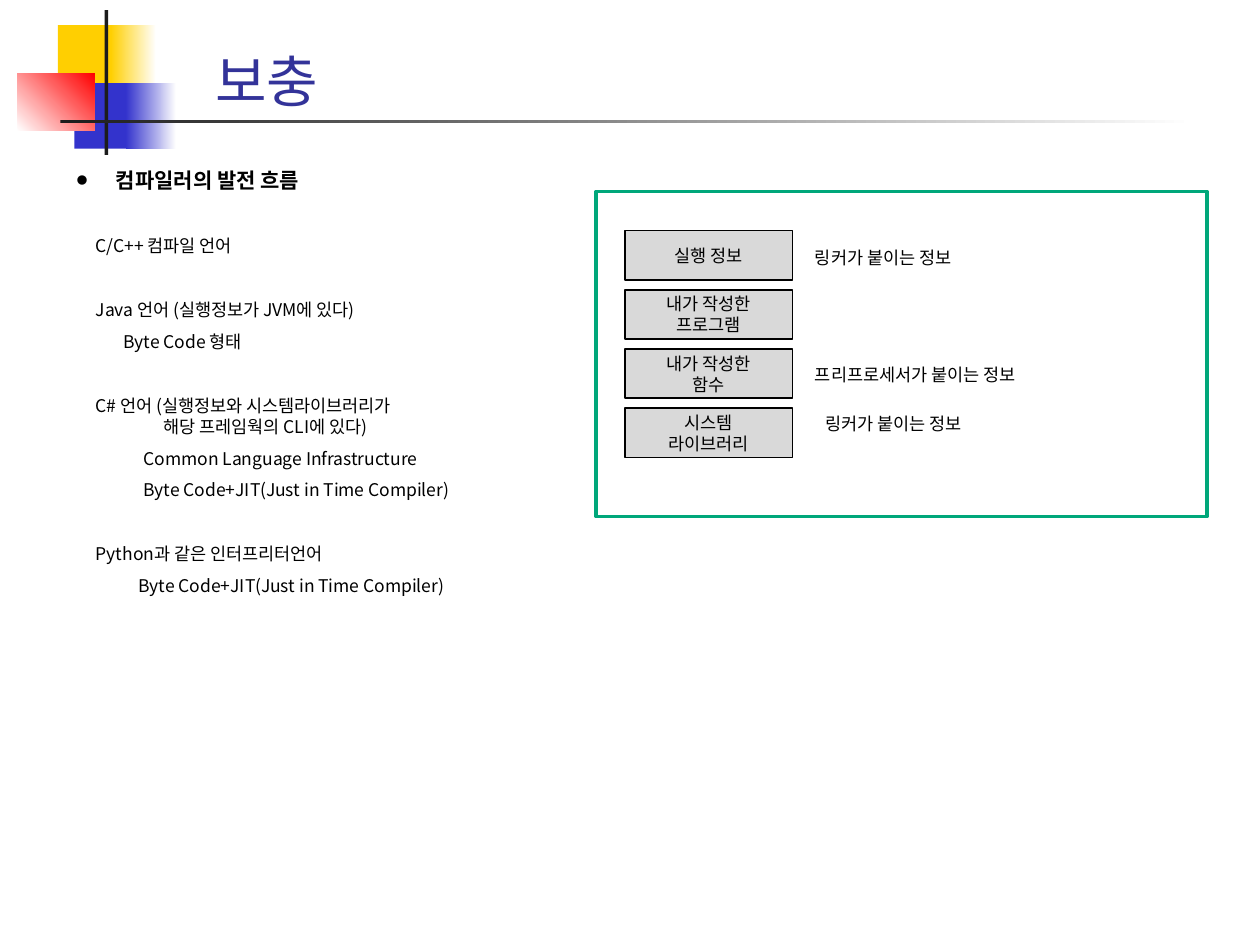
from lxml.etree import SubElement
from pptx import Presentation
from pptx.dml.color import RGBColor
from pptx.enum.shapes import MSO_SHAPE
from pptx.enum.text import MSO_ANCHOR, MSO_AUTO_SIZE, PP_ALIGN
from pptx.oxml.ns import qn
from pptx.util import Inches, Pt

FONT = "Noto Sans CJK KR"
BLACK = RGBColor(0x00, 0x00, 0x00)
WHITE = RGBColor(0xFF, 0xFF, 0xFF)
YELLOW = RGBColor(0xFF, 0xCF, 0x01)
BLUE = RGBColor(0x33, 0x33, 0xCC)
RED = RGBColor(0xFF, 0x00, 0x00)
CHARCOAL = RGBColor(0x1C, 0x1C, 0x1C)
NAVY = RGBColor(0x33, 0x33, 0x99)
GRAY = RGBColor(0xD9, 0xD9, 0xD9)
GREEN = RGBColor(0x00, 0xA7, 0x7A)

SECTION_GAP = 24.4
LINE_GAP = 6.2
OUTLINE = [
    ("C/C++ 컴파일 언어", 0.15, 0, SECTION_GAP),
    ("Java 언어 (실행정보가 JVM에 있다)", 0.15, 0, SECTION_GAP),
    ("Byte Code 형태", 0.37, 0, LINE_GAP),
    ("C# 언어 (실행정보와 시스템라이브러리가\v해당 프레임웍의 CLI에 있다)", 0.69, -0.54, SECTION_GAP),
    ("Common Language Infrastructure", 0.53, 0, LINE_GAP),
    ("Byte Code+JIT(Just in Time Compiler)", 0.53, 0, LINE_GAP),
    ("Python과 같은 인터프리터언어", 0.15, 0, SECTION_GAP),
    ("Byte Code+JIT(Just in Time Compiler)", 0.49, 0, LINE_GAP),
]
PROGRAM_PARTS = ["실행 정보", "내가 작성한\n프로그램", "내가 작성한\n함수", "시스템\n라이브러리"]
PART_NOTES = [
    ("링커가 붙이는 정보", 1.64, 0.39),
    ("프리프로세서가 붙이는 정보", 1.64, 1.32),
    ("링커가 붙이는 정보", 1.72, 1.71),
]


def place(shape, left, top, width, height):
    shape.left, shape.top = Inches(left), Inches(top)
    shape.width, shape.height = Inches(width), Inches(height)


def style_paragraph(paragraph, size=10, color=BLACK, bold=False, align=PP_ALIGN.LEFT):
    paragraph.alignment = align
    paragraph.line_spacing = Pt(size * 1.2)
    font = paragraph.font
    font.size, font.bold, font.name = Pt(size), bold, FONT
    font.color.rgb = color
    defaults = paragraph._p.get_or_add_pPr().find(qn("a:defRPr"))
    SubElement(defaults, qn("a:ea"), typeface=FONT)


def set_indent(paragraph, margin, first_line=0):
    properties = paragraph._p.get_or_add_pPr()
    properties.set("marL", str(Inches(margin)))
    properties.set("indent", str(Inches(first_line)))
    return properties


def add_rectangle(slide, left, top, width, height):
    shape = slide.shapes.add_shape(
        MSO_SHAPE.RECTANGLE, Inches(left), Inches(top), Inches(width), Inches(height)
    )
    shape.shadow.inherit = False
    return shape


def add_block(slide, left, top, width, height, start, end=None, angle=0):
    shape = add_rectangle(slide, left, top, width, height)
    shape.line.fill.background()
    if end is None:
        shape.fill.solid()
        shape.fill.fore_color.rgb = start
        return
    shape.fill.gradient()
    shape.fill.gradient_angle = angle
    for stop, color in zip(shape.fill.gradient_stops, (start, end)):
        stop.color.rgb = color


def add_emblem(slide, left, top):
    add_block(slide, left + 0.32, top + 0.12, 0.48, 0.52, YELLOW)
    add_block(slide, left + 0.74, top + 0.12, 0.36, 0.52, YELLOW, WHITE)
    add_block(slide, left + 0.45, top + 0.58, 0.46, 0.52, BLUE)
    add_block(slide, left + 0.86, top + 0.58, 0.4, 0.52, BLUE, WHITE)
    add_block(slide, left, top + 0.5, 0.61, 0.46, WHITE, RED, 45)
    add_block(slide, left + 0.69, top, 0.03, 1.15, CHARCOAL)
    add_block(slide, left + 0.34, top + 0.87, 9, 0.03, CHARCOAL, WHITE)


def fill_title(title, left, top, width, height):
    place(title, left, top, width, height)
    frame = title.text_frame
    frame.text = "보충"
    frame.auto_size = MSO_AUTO_SIZE.NONE
    frame.vertical_anchor = MSO_ANCHOR.BOTTOM
    frame.margin_bottom = Inches(0.02)
    set_indent(frame.paragraphs[0], 0.35)
    style_paragraph(frame.paragraphs[0], 32, NAVY)


def fill_outline(body, left, top, width, height):
    place(body, left, top, width, height)
    frame = body.text_frame
    frame.auto_size = MSO_AUTO_SIZE.NONE
    frame.word_wrap = True
    heading = frame.paragraphs[0]
    heading.text = "컴파일러의 발전 흐름"
    heading.space_before = Pt(0)
    properties = set_indent(heading, 0.31, -0.31)
    SubElement(properties, qn("a:buSzPct"), val="50000")
    SubElement(properties, qn("a:buFont"), typeface=FONT)
    SubElement(properties, qn("a:buChar"), char="●")
    style_paragraph(heading, 12, bold=True)
    for text, margin, first_line, gap in OUTLINE:
        paragraph = frame.add_paragraph()
        paragraph.text = text
        paragraph.space_before = Pt(gap)
        SubElement(set_indent(paragraph, margin, first_line), qn("a:buNone"))
        style_paragraph(paragraph)


def add_program_panel(slide, left, top, width, height):
    for row, text in enumerate(PROGRAM_PARTS):
        part = add_rectangle(slide, left + 0.23, top + 0.31 + row * 0.47, 1.33, 0.39)
        part.fill.solid()
        part.fill.fore_color.rgb = GRAY
        part.line.color.rgb = BLACK
        part.line.width = Pt(1)
        frame = part.text_frame
        frame.text = text
        frame.word_wrap = True
        frame.vertical_anchor = MSO_ANCHOR.MIDDLE
        frame.margin_top = frame.margin_bottom = 0
        for paragraph in frame.paragraphs:
            style_paragraph(paragraph, align=PP_ALIGN.CENTER)

    for text, offset_x, offset_y in PART_NOTES:
        note = slide.shapes.add_textbox(
            Inches(left + offset_x), Inches(top + offset_y), Inches(3.2), Inches(0.27)
        )
        note.text_frame.text = text
        note.text_frame.word_wrap = True
        style_paragraph(note.text_frame.paragraphs[0])

    border = add_rectangle(slide, left, top, width, height)
    border.fill.background()
    border.line.color.rgb = GREEN
    border.line.width = Pt(2)


def main():
    presentation = Presentation()
    presentation.slide_width, presentation.slide_height = Inches(10), Inches(7.5)
    slide = presentation.slides.add_slide(presentation.slide_layouts[1])
    add_emblem(slide, 0.14, 0.08)
    fill_title(slide.shapes.title, 1.26, 0.17, 8.52, 0.75)
    fill_outline(slide.placeholders[1], 0.51, 1.28, 3.4, 5.03)
    add_program_panel(slide, 4.73, 1.52, 4.85, 2.58)
    presentation.save("out.pptx")


if __name__ == "__main__":
    main()
